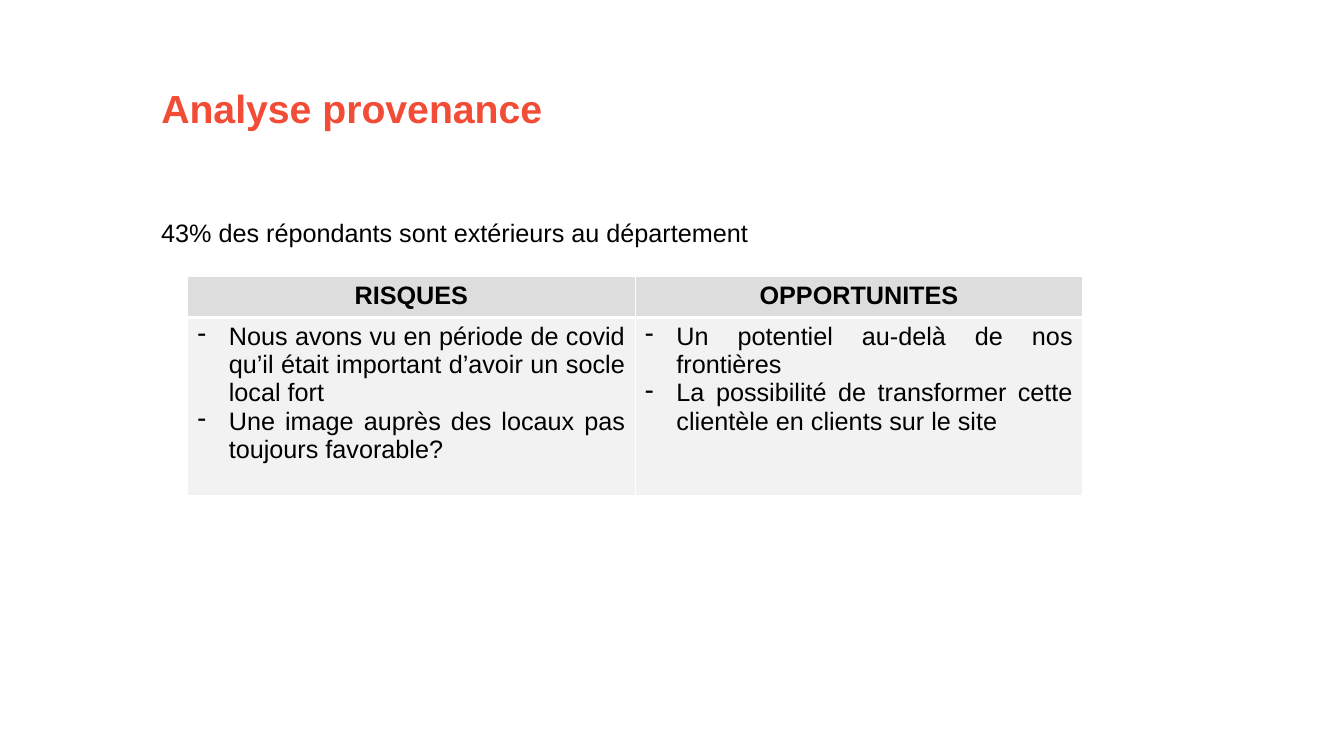
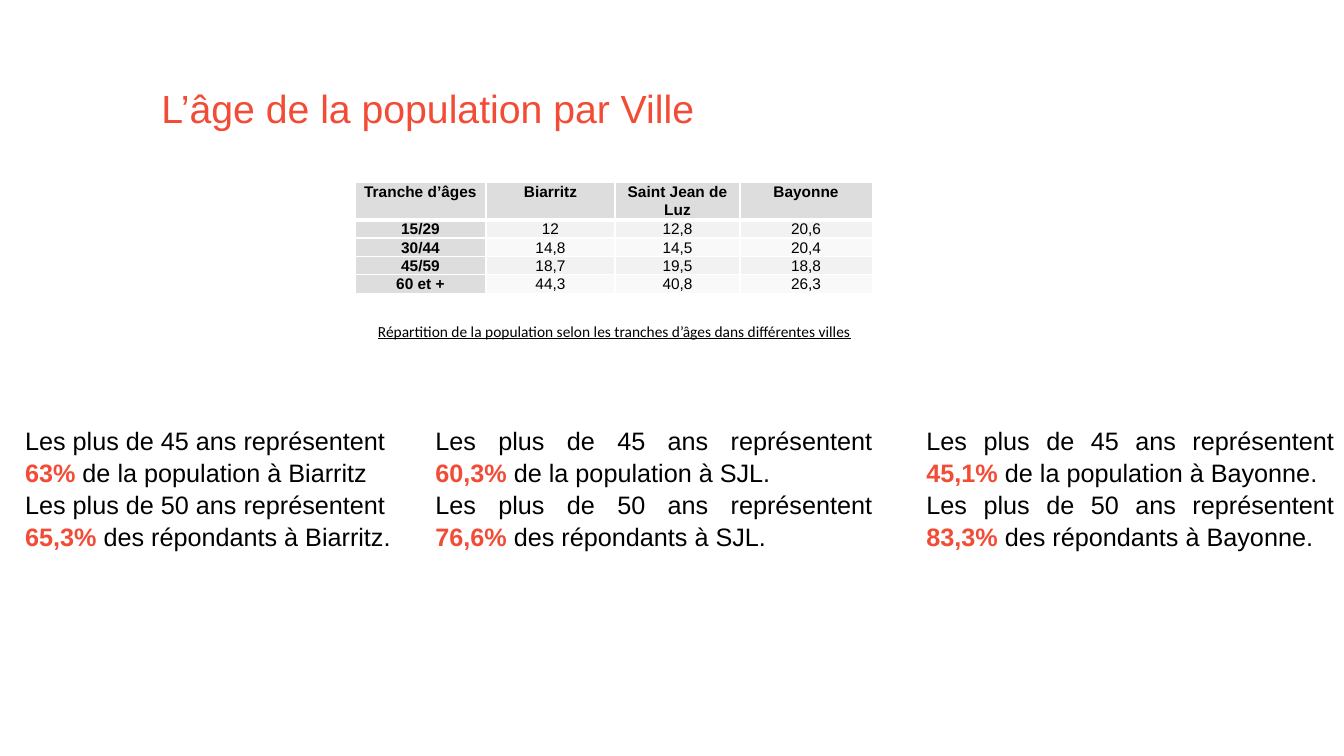
from lxml import etree
from pptx import Presentation
from pptx.dml.color import RGBColor
from pptx.enum.text import MSO_ANCHOR, MSO_AUTO_SIZE, PP_ALIGN
from pptx.oxml.ns import qn
from pptx.util import Inches, Pt

LEFT, CENTER, JUSTIFY = PP_ALIGN.LEFT, PP_ALIGN.CENTER, PP_ALIGN.JUSTIFY
TOP = MSO_ANCHOR.TOP
NO_AUTOFIT = MSO_AUTO_SIZE.NONE
TITLE_ONLY = 5

COLORS = {
    "accent": "F24C36",
    "text": "000000",
    "border": "FFFFFF",
    "header": "DDDDDD",
    "band": "F2F2F2",
    "light_band": "F9F9F9",
}
TITLE_BOX = (1.5, 0.79, 10.23, 1.12)


def color(name):
    """Return a named palette colour."""
    return RGBColor.from_string(COLORS[name])


def style(font, size, bold=False, tint="text", name="Arial"):
    """Format a paragraph or run font."""
    font.name, font.size, font.bold = name, Pt(size), bold
    font.color.rgb = color(tint)


def add_titled_slide(presentation, title, bold):
    """Add a slide and format its title placeholder."""
    slide = presentation.slides.add_slide(presentation.slide_layouts[TITLE_ONLY])
    shape = slide.shapes.title
    shape.left, shape.top, shape.width, shape.height = map(Inches, TITLE_BOX)
    frame = shape.text_frame
    frame.text = title
    frame.word_wrap, frame.auto_size = True, NO_AUTOFIT
    frame.vertical_anchor = TOP
    paragraph = frame.paragraphs[0]
    paragraph.alignment = LEFT
    style(paragraph.font, 28, bold, "accent")
    return slide


def add_text(slide, box, text=""):
    """Add a wrapping text box and return its first paragraph."""
    frame = slide.shapes.add_textbox(*map(Inches, box)).text_frame
    frame.word_wrap = True
    paragraph = frame.paragraphs[0]
    paragraph.text = text
    return paragraph


def set_borders(cell, bottom):
    """Draw white cell borders, with the given bottom width in points."""
    properties = cell._tc.get_or_add_tcPr()
    for index, side in enumerate("LRTB"):
        width = bottom if side == "B" else 1
        line = etree.Element(qn(f"a:ln{side}"), w=str(Pt(width)))
        fill = etree.SubElement(line, qn("a:solidFill"))
        etree.SubElement(fill, qn("a:srgbClr"), val=COLORS["border"])
        properties.insert(index, line)


def add_dash(paragraph):
    """Give a paragraph a hanging dash bullet."""
    properties = paragraph._p.get_or_add_pPr()
    properties.set("marL", str(Inches(0.31)))
    properties.set("indent", str(-Inches(0.31)))
    etree.SubElement(properties, qn("a:buChar"), char="-")


def add_grid(slide, left, top, widths, heights, rows):
    """Add a table with a grey header row and pale bands below it."""
    table = slide.shapes.add_table(
        len(rows), len(widths), Inches(left), Inches(top),
        Inches(sum(widths)), Inches(sum(heights))).table
    for column, width in zip(table.columns, widths):
        column.width = Inches(width)
    for index, (row, height, texts) in enumerate(zip(table.rows, heights, rows)):
        row.height = Inches(height)
        fill = "header" if index == 0 else "band" if index % 2 else "light_band"
        for cell, text in zip(row.cells, texts):
            cell.text = text
            set_borders(cell, 3 if index == 0 else 1)
            cell.fill.solid()
            cell.fill.fore_color.rgb = color(fill)
    return table


def add_risk_table(slide, left, top):
    """Place the table of risks and opportunities."""
    rows = [
        ("RISQUES", "OPPORTUNITES"),
        ("Nous avons vu en période de covid qu’il était important d’avoir "
         "un socle local fort\n"
         "Une image auprès des locaux pas toujours favorable?",
         "Un potentiel au-delà de nos frontières\n"
         "La possibilité de transformer cette clientèle en clients sur le site"),
    ]
    table = add_grid(slide, left, top, [4.44, 4.44], [0.41, 1.77], rows)
    for index, row in enumerate(table.rows):
        for cell in row.cells:
            for paragraph in cell.text_frame.paragraphs:
                style(paragraph.font, 18, index == 0)
                paragraph.alignment = JUSTIFY if index else CENTER
                if index:
                    add_dash(paragraph)


def add_age_table(slide, left, top):
    """Place the table of age groups by town."""
    rows = [
        ("Tranche d’âges", "Biarritz", "Saint Jean de Luz", "Bayonne"),
        ("15/29", "12", "12,8", "20,6"),
        ("30/44", "14,8", "14,5", "20,4"),
        ("45/59", "18,7", "19,5", "18,8"),
        ("60 et +", "44,3", "40,8", "26,3"),
    ]
    table = add_grid(slide, left, top, [1.3, 1.28, 1.24, 1.31],
                     [0.37] + [0.18] * 4, rows)
    table.first_col = True
    for row_index, row in enumerate(table.rows):
        for column_index, cell in enumerate(row.cells):
            heading = row_index == 0 or column_index == 0
            if heading:
                cell.fill.fore_color.rgb = color("header")
            cell.margin_left = cell.margin_right = Inches(0.07)
            cell.margin_top = cell.margin_bottom = 0
            paragraph = cell.text_frame.paragraphs[0]
            paragraph.alignment, paragraph.line_spacing = CENTER, 1.07
            style(paragraph.font, 11, heading)


def add_town_summary(slide, box, alignment, facts):
    """Place one town's sentences, with the shares highlighted."""
    paragraph = add_text(slide, box)
    frame = paragraph._parent
    for index, (age, share, ending) in enumerate(facts):
        if index:
            paragraph = frame.add_paragraph()
        paragraph.alignment, paragraph.line_spacing = alignment, 1.05
        parts = [(f"Les plus de {age} ans représentent ", False),
                 (share, True), (f" {ending}", False)]
        for text, strong in parts:
            run = paragraph.add_run()
            run.text = text
            style(run.font, 18, strong, "accent" if strong else "text")


def build_origin_slide(presentation):
    """Build the slide on where respondents come from."""
    slide = add_titled_slide(presentation, "Analyse provenance", True)
    paragraph = add_text(slide, (1.5, 2.14, 10.23, 0.57),
                         "43% des répondants sont extérieurs au département")
    paragraph.line_spacing, paragraph.space_before = 0.9, Pt(10)
    style(paragraph.font, 18)
    add_risk_table(slide, 1.86, 2.74)


def build_age_slide(presentation):
    """Build the slide on age by town."""
    slide = add_titled_slide(presentation, "L’âge de la population par Ville", False)
    add_age_table(slide, 3.52, 1.81)
    caption = add_text(
        slide, (3.65, 3.13, 5.01, 0.29),
        "Répartition de la population selon les tranches d’âges "
        "dans différentes villes")
    caption.line_spacing, caption.space_after = 1.07, Pt(8)
    style(caption.font, 11, name="Calibri")
    caption.font.underline = True

    towns = [
        (0.15, 3.88, LEFT, "63%", "Biarritz", "65,3%", "Biarritz."),
        (4.22, 4.53, JUSTIFY, "60,3%", "SJL.", "76,6%", "SJL."),
        (9.09, 4.24, JUSTIFY, "45,1%", "Bayonne.", "83,3%", "Bayonne."),
    ]
    for left, width, alignment, residents, town, respondents, town_end in towns:
        add_town_summary(slide, (left, 4.16, width, 1.31), alignment, [
            (45, residents, f"de la population à {town}"),
            (50, respondents, f"des répondants à {town_end}"),
        ])


def main():
    """Build and save the presentation."""
    presentation = Presentation()
    presentation.slide_width = Inches(13.33)
    presentation.slide_height = Inches(7.5)
    build_origin_slide(presentation)
    build_age_slide(presentation)
    presentation.save("out.pptx")


main()
